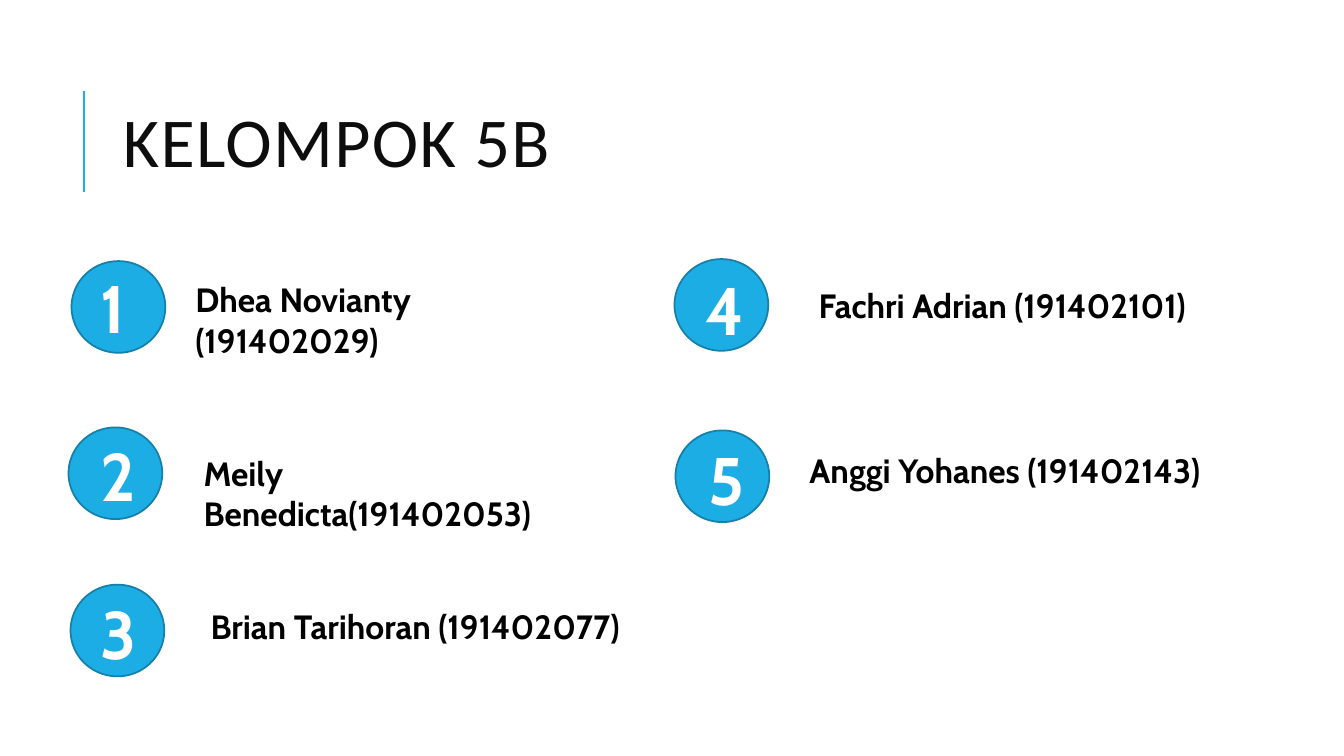
"""Build the group member slide with five numbered names."""
from lxml.etree import SubElement
from pptx import Presentation
from pptx.dml.color import RGBColor
from pptx.enum.shapes import MSO_CONNECTOR as Connector, MSO_SHAPE as Shape
from pptx.enum.text import MSO_ANCHOR as Anchor, MSO_AUTO_SIZE as AutoSize
from pptx.oxml.ns import qn
from pptx.util import Inches, Pt


def color(value):
    return RGBColor.from_string(value)


def add_text(text, left, top, width, height, size, font, value, bold):
    box = slide.shapes.add_textbox(Inches(left), Inches(top), Inches(width), Inches(height))
    frame = box.text_frame
    frame.word_wrap = True
    paragraph = frame.paragraphs[0]
    paragraph.text = text
    paragraph.font.size = Pt(size)
    paragraph.font.name = font
    paragraph.font.bold = bold
    paragraph.font.color.rgb = color(value)
    return frame


ACCENT = "1CADE4"
DIAMETER_X, DIAMETER_Y = 0.93, 0.91

presentation = Presentation()
presentation.slide_width = Inches(13.33)
presentation.slide_height = Inches(7.5)
slide = presentation.slides.add_slide(presentation.slide_layouts[6])

rule = slide.shapes.add_connector(
    Connector.STRAIGHT, Inches(0.83), Inches(1.9), Inches(0.83), Inches(0.9))
rule.line.color.rgb = color(ACCENT)
rule.line.width = Pt(1.5)
SubElement(rule._element.spPr, qn("a:effectLst"))

title = add_text("KELOMPOK 5B", 1.12, 0.64, 10.63, 1.64, 50, "Calibri", "0D0D0D", False)
title.vertical_anchor = Anchor.MIDDLE
title.paragraphs[0].line_spacing = 0.8
title.paragraphs[0].runs[0].font._element.set("spc", "100")

members = [
    ("Dhea Novianty (191402029)", (0.71, 2.59), (0.9, 2.59), (1.84, 2.72), 4.22),
    ("Meily Benedicta(191402053)", (0.68, 4.24), (0.9, 4.26), (1.92, 4.44), 4.22),
    ("Brian Tarihoran (191402077)", (0.7, 5.8), (0.9, 5.83), (1.99, 5.96), 4.54),
    ("Fachri Adrian (191402101)", (6.69, 2.57), (6.9, 2.61), (8.02, 2.78), 4.22),
    ("Anggi Yohanes (191402143)", (6.7, 4.27), (6.93, 4.3), (7.93, 4.41), 4.22),
]
for number, (name, circle_at, number_at, name_at, name_width) in enumerate(members, 1):
    left, top = circle_at
    circle = slide.shapes.add_shape(
        Shape.OVAL, Inches(left), Inches(top), Inches(DIAMETER_X), Inches(DIAMETER_Y))
    circle.shadow.inherit = False
    circle.fill.solid()
    circle.fill.fore_color.rgb = color(ACCENT)
    circle.line.color.rgb = color("1580A9")
    circle.line.width = Pt(1.25)
    for frame in (
        add_text(str(number), *number_at, 1.07, 0.91, 48, "Cabin", "FFFFFF", True),
        add_text(name, *name_at, name_width, 0.5, 24, "Cabin", "000000", True),
    ):
        frame.auto_size = AutoSize.SHAPE_TO_FIT_TEXT

presentation.save("out.pptx")
